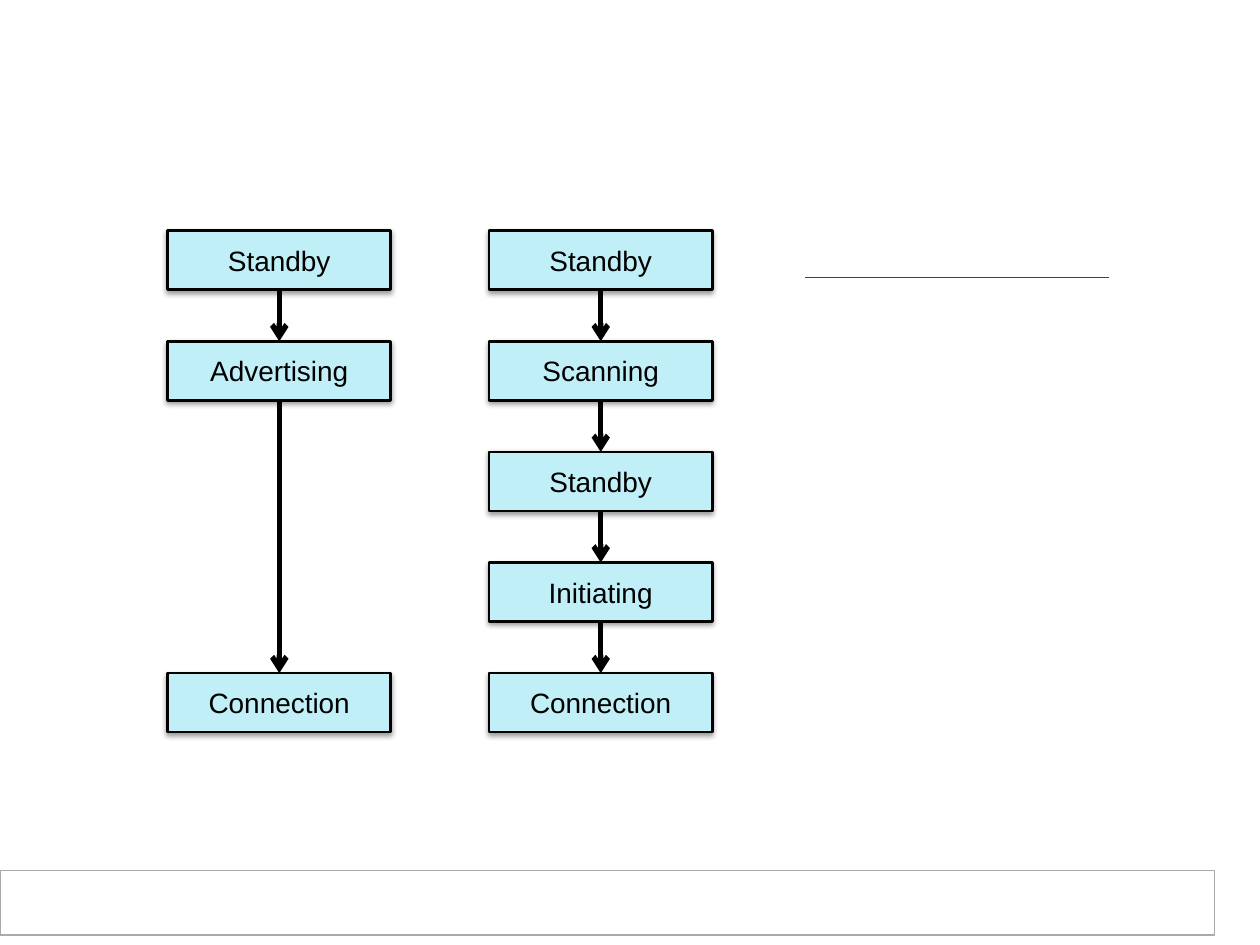
from dataclasses import dataclass

from lxml import etree
from pptx import Presentation
from pptx import util as u
from pptx.dml.color import RGBColor
from pptx.enum import shapes, text
from pptx.oxml import parse_xml
from pptx.oxml.ns import nsdecls, qn

BLACK = RGBColor(0x00, 0x00, 0x00)
WHITE = RGBColor(0xFF, 0xFF, 0xFF)
PALE_BLUE = RGBColor(0xC0, 0xEF, 0xF7)
GREY = RGBColor(0xAA, 0xAA, 0xAA)
RED = RGBColor(0xD9, 0x00, 0x00)

# State grid, in centimetres
TOP, PITCH = 4.65, 2.23
BOX_W, BOX_H = 4.5, 1.19


@dataclass
class State:
    label: str
    row: int


@dataclass
class Flow:
    left: float
    states: list[State]


FLOWS = [
    Flow(3.38, [State("Standby", 0), State("Advertising", 1),
                State("Connection", 4)]),
    Flow(9.86, [State("Standby", 0), State("Scanning", 1),
                State("Standby", 2), State("Initiating", 3),
                State("Connection", 4)]),
]


def set_text(sp, label: str, *, size=16, font="Arial", color=BLACK) -> None:
    tf = sp.text_frame
    tf.vertical_anchor = text.MSO_ANCHOR.MIDDLE
    p = tf.paragraphs[0]
    p.alignment = text.PP_ALIGN.CENTER
    r = p.add_run()
    r.text = label
    r.font.size = u.Pt(size)
    r.font.name = font
    r.font.color.rgb = color


def add_box(s, x: float, y: float, w: float, h: float, *,
            fill: RGBColor, line: RGBColor, width: float):
    sp = s.shapes.add_shape(shapes.MSO_SHAPE.RECTANGLE,
                            u.Cm(x), u.Cm(y), u.Cm(w), u.Cm(h))
    sp.shadow.inherit = False
    sp.fill.solid()
    sp.fill.fore_color.rgb = fill
    sp.line.color.rgb = line
    sp.line.width = u.Pt(width)
    return sp


def add_shadow(sp) -> None:
    effects = sp._element.spPr.find(qn("a:effectLst"))
    effects.append(parse_xml(
        f'<a:outerShdw {nsdecls("a")} blurRad="{u.Pt(3.1)}" '
        f'dist="{u.Pt(1.6)}" dir="5400000" rotWithShape="0">'
        '<a:srgbClr val="000000"><a:alpha val="38000"/></a:srgbClr>'
        '</a:outerShdw>'))


def add_state(s, flow: Flow, state: State):
    sp = add_box(s, flow.left, TOP + state.row * PITCH, BOX_W, BOX_H,
                 fill=PALE_BLUE, line=BLACK, width=1.5)
    add_shadow(sp)
    set_text(sp, state.label)
    return sp


def add_line(s, x1: float, y1: float, x2: float, y2: float, *,
             color: RGBColor, width: float):
    c = s.shapes.add_connector(shapes.MSO_CONNECTOR.STRAIGHT,
                               u.Cm(x1), u.Cm(y1), u.Cm(x2), u.Cm(y2))
    c.line.color.rgb = color
    c.line.width = u.Pt(width)
    etree.SubElement(c._element.spPr, qn("a:effectLst"))
    return c


def add_arrow(s, upper, lower) -> None:
    c = add_line(s, 0, 0, 0, 0, color=BLACK, width=3)
    c.begin_connect(upper, 2)
    c.end_connect(lower, 0)
    etree.SubElement(c.line._get_or_add_ln(), qn("a:tailEnd"), type="arrow")


def main() -> None:
    prs = Presentation()
    prs.slide_width, prs.slide_height = u.Cm(25.4), u.Cm(19.05)
    s = prs.slides.add_slide(prs.slide_layouts[6])

    # Footer frame
    add_box(s, 0, 17.55, 24.49, 1.3, fill=WHITE, line=GREY, width=0.75)

    # State flows
    for flow in FLOWS:
        boxes = [add_state(s, flow, state) for state in flow.states]
        for upper, lower in zip(boxes, boxes[1:]):
            add_arrow(s, upper, lower)

    # Red rule
    add_line(s, 16.23, 5.59, 22.35, 5.59, color=RED, width=0.75)

    prs.save("out.pptx")


if __name__ == "__main__":
    main()
